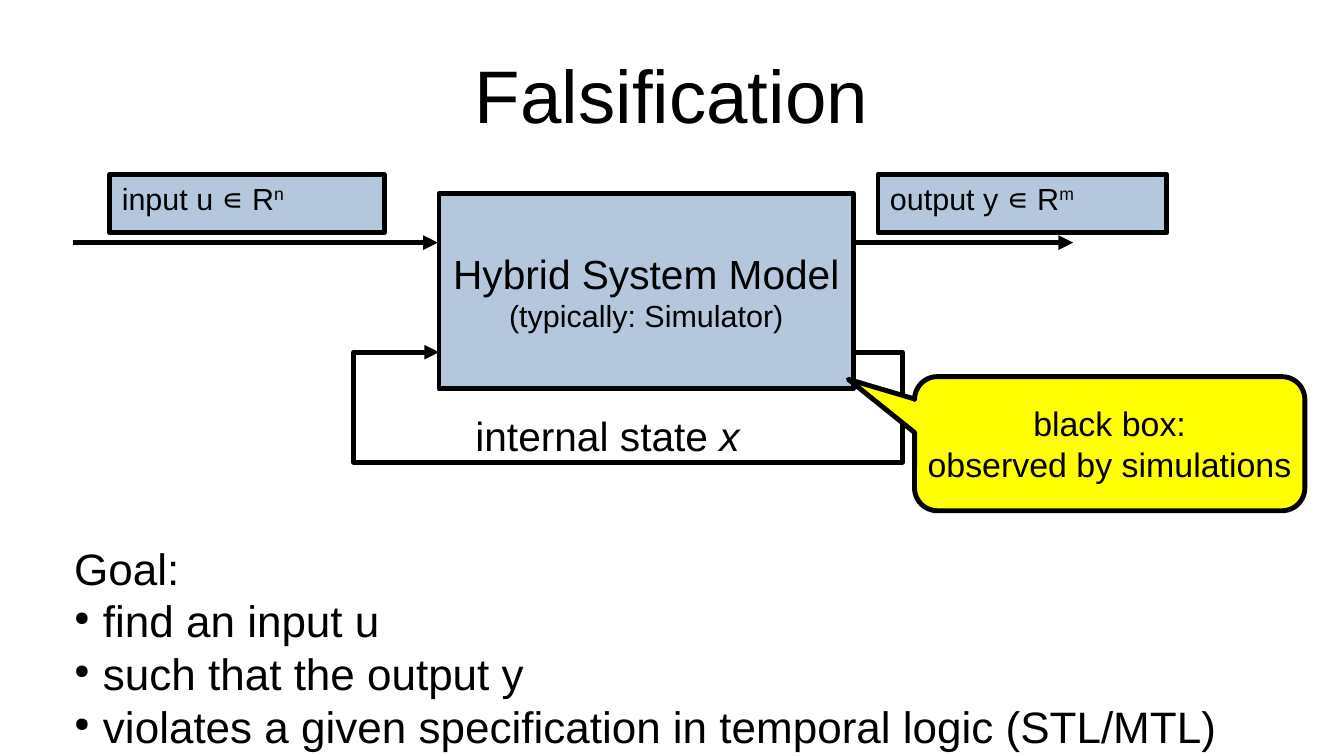
import pptx
import pptx.util
import pptx.dml.color
import pptx.enum.shapes
import pptx.enum.text
import pptx.oxml
import pptx.oxml.ns
from pptx.util import Pt

COLORS = {"ink": "000000", "block": "B4C7DC", "callout": "FFFF00"}
FONT = "Arial"
SHAPES = pptx.enum.shapes.MSO_SHAPE
ALIGN = pptx.enum.text.PP_ALIGN
ANCHOR = pptx.enum.text.MSO_ANCHOR


def rgb(name):
    return pptx.dml.color.RGBColor.from_string(COLORS[name])


def write(shape, paragraphs, align=ALIGN.LEFT, anchor=ANCHOR.TOP, wrap=True, inset=(7.2, 3.6)):
    """Each paragraph is a list of runs: (text, size, style)."""
    frame = shape.text_frame
    frame.word_wrap = wrap
    frame.vertical_anchor = anchor
    frame.margin_left = frame.margin_right = Pt(inset[0])
    frame.margin_top = frame.margin_bottom = Pt(inset[1])
    for index, runs in enumerate(paragraphs):
        paragraph = frame.paragraphs[0] if index == 0 else frame.add_paragraph()
        paragraph.alignment = align
        for text, size, style in runs:
            run = paragraph.add_run()
            run.text = text
            run.font.name = FONT
            run.font.size = Pt(size)
            run.font.color.rgb = rgb("ink")
            if style == "italic":
                run.font.italic = True
            elif style == "superscript":
                run.font._element.set("baseline", "33000")


presentation = pptx.Presentation()
presentation.slide_width = Pt(793.5)
presentation.slide_height = Pt(446.5)
slide = presentation.slides.add_slide(presentation.slide_layouts[5])
shapes = slide.shapes

# Title
title = shapes.title
title.left, title.top, title.width, title.height = Pt(39.6), Pt(18), Pt(714), Pt(75)
write(title, [[("Falsification", 44, "")]], ALIGN.CENTER, ANCHOR.MIDDLE, inset=(0, 0))

# Input and output arrows
arrows = []
for start, end in [(43.2, 258.5), (489.6, 633.6)]:
    arrow = shapes.add_connector(
        pptx.enum.shapes.MSO_CONNECTOR.STRAIGHT, Pt(start), Pt(143.3), Pt(end), Pt(143.3))
    arrow._element.spPr.append(pptx.oxml.parse_xml(
        f"<a:effectLst {pptx.oxml.ns.nsdecls('a')}/>"))
    arrows.append(arrow)

# Feedback loop of the internal state, tucked behind the model
builder = shapes.build_freeform(Pt(489.6), Pt(208))
builder.add_line_segments(
    [(Pt(x), Pt(y)) for x, y in [(532.8, 208), (532.8, 273), (208.8, 273), (208.8, 208), (259.2, 208)]],
    close=False)
feedback = builder.convert_to_shape()
feedback.fill.background()
feedback.shadow.inherit = False
arrows.append(feedback)

# Blocks: kind, fill, place, text, centred
blocks = [
    (SHAPES.RECTANGLE, "block", (64.8, 103, 162, 34.5),
     [[("input u ∊ R", 18, ""), ("n", 18, "superscript")]], False),
    (SHAPES.RECTANGLE, "block", (518.4, 103, 170.6, 34.5),
     [[("output y ∊ R", 18, ""), ("m", 18, "superscript")]], False),
    (SHAPES.RECTANGLE, "block", (259.2, 114.5, 244.8, 115.2),
     [[("Hybrid System Model", 24, "")], [("(typically: Simulator)", 18, "")]], True),
    (SHAPES.ROUNDED_RECTANGULAR_CALLOUT, "callout", (540, 222.5, 230.4, 79.2),
     [[("black box:", 20, "")], [("observed by simulations", 20, "")]], True),
]
outlined = list(arrows)
for kind, fill, place, paragraphs, centred in blocks:
    block = shapes.add_shape(kind, *[Pt(value) for value in place])
    block.shadow.inherit = False
    block.fill.solid()
    block.fill.fore_color.rgb = rgb(fill)
    if centred:
        write(block, paragraphs, ALIGN.CENTER, ANCHOR.MIDDLE, wrap=False)
    else:
        write(block, paragraphs)
    outlined.append(block)
for index, value in enumerate([-0.67, -0.48, 0.17]):
    block.adjustments[index] = value

# Outlines and arrowheads
for shape in outlined:
    shape.line.color.rgb = rgb("ink")
    shape.line.width = Pt(2.89)
    outline = shape.line._get_or_add_ln()
    outline.append(pptx.oxml.parse_xml(f"<a:round {pptx.oxml.ns.nsdecls('a')}/>"))
    if shape in arrows:
        outline.append(pptx.oxml.parse_xml(
            f'<a:tailEnd {pptx.oxml.ns.nsdecls("a")} type="triangle"/>'))

# State label
label = shapes.add_textbox(Pt(273.6), Pt(239), Pt(196.5), Pt(35.3))
write(label, [[("internal state ", 24, ""), ("x", 24, "italic")]])

# Goal and its bullets
goal = shapes.add_textbox(Pt(36.7), Pt(316), Pt(690.5), Pt(123))
lines = ["Goal:", "find an input u", "such that the output y",
         "violates a given specification in temporal logic (STL/MTL)"]
write(goal, [[(line, 26, "")] for line in lines])
for paragraph in goal.text_frame.paragraphs[1:]:
    properties = paragraph._p.get_or_add_pPr()
    properties.set("marL", str(Pt(17)))
    properties.set("indent", str(-Pt(17)))
    for tag in ('buClr><a:srgbClr val="%s"/></a:buClr' % COLORS["ink"],
                'buSzPct val="45000"/', 'buChar char="●"/'):
        name, _, rest = tag.partition(">")
        head, _, attributes = name.partition(" ")
        namespace = pptx.oxml.ns.nsdecls("a")
        properties.append(pptx.oxml.parse_xml(
            f"<a:{head} {namespace} {attributes}>{rest}" + (">" if rest else "")))

presentation.save("out.pptx")
